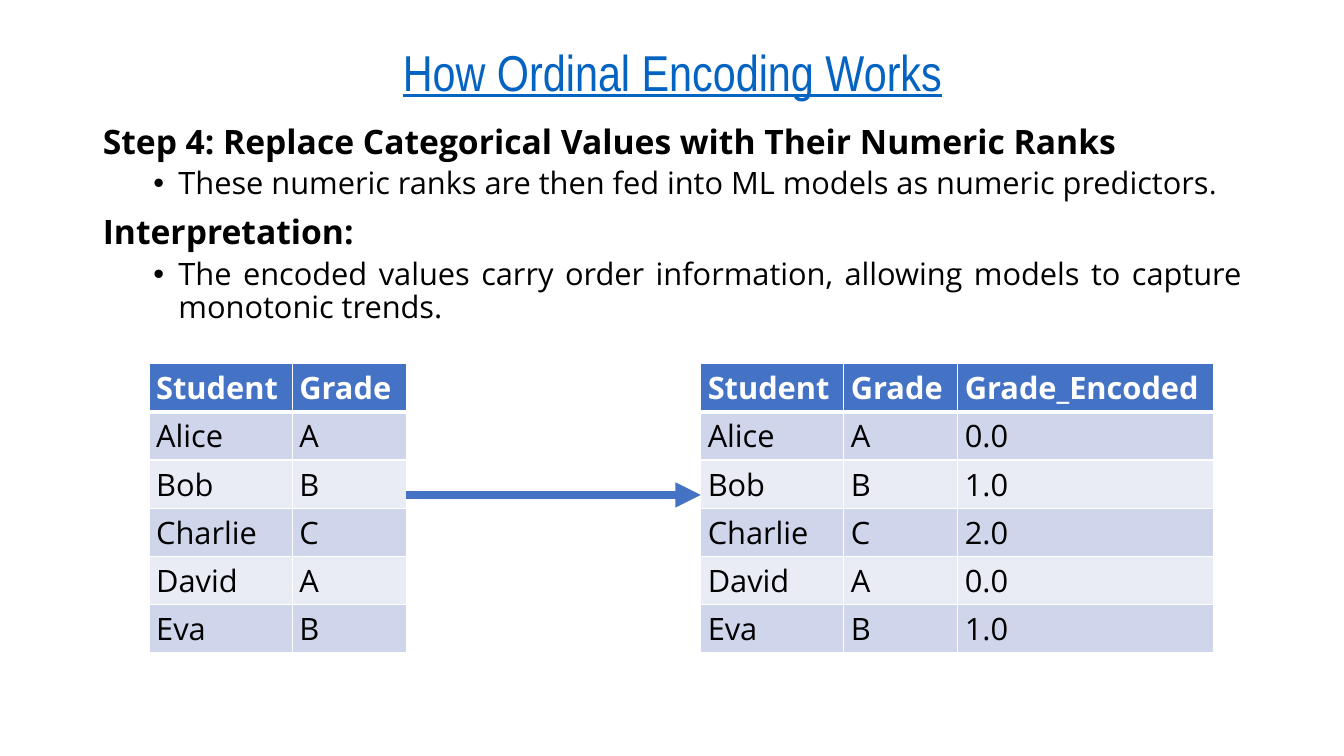
import pptx
import pptx.util
import pptx.dml.color
import pptx.enum.text
import pptx.enum.shapes
import pptx.oxml
import pptx.oxml.ns
from pptx.util import Inches

COLORS = {"link": "0563C1", "text": "000000", "white": "FFFFFF",
          "blue": "4472C4", "band": "CFD5EA", "light": "E9EBF5"}
NS = pptx.oxml.ns.nsdecls("a")
ALIGN = pptx.enum.text.PP_ALIGN
ANCHOR = pptx.enum.text.MSO_ANCHOR


def rgb(name):
    return pptx.dml.color.RGBColor.from_string(COLORS[name])


def add_text(p, text, size=22, font="Open Sans", color="text", bold=False, underline=False):
    r = p.add_run()
    r.text = text
    r.font.size = pptx.util.Pt(size)
    r.font.name = font
    r.font.bold = bold
    r.font.underline = underline
    r.font.color.rgb = rgb(color)


prs = pptx.Presentation()
prs.slide_width, prs.slide_height = Inches(13.33), Inches(7.5)
s = prs.slides.add_slide(prs.slide_layouts[1])
title, body = s.placeholders

for sp, top, height, anchor in [(title, 0.4, 0.7, ANCHOR.MIDDLE), (body, 1.19, 5.56, ANCHOR.TOP)]:
    sp.left, sp.top, sp.width, sp.height = Inches(0.92), Inches(top), Inches(11.5), Inches(height)
    tf = sp.text_frame
    tf.word_wrap = True
    tf.auto_size = pptx.enum.text.MSO_AUTO_SIZE.NONE
    tf.vertical_anchor = anchor

p = title.text_frame.paragraphs[0]
p.alignment = ALIGN.CENTER
p.line_spacing = 0.9
add_text(p, "How Ordinal Encoding Works", size=36, font="Arial Narrow", color="link", underline=True)

points = [
    (0, [("Step 4: Replace Categorical Values with Their Numeric Ranks", 24)]),
    (1, [("These numeric ranks are then fed into ML models as numeric predictors", 22), (".", 20)]),
    (0, [("Interpretation:", 24)]),
    (1, [("The encoded values carry order information, allowing models to capture monotonic trends.", 22)]),
]
tf = body.text_frame
for i, (level, runs) in enumerate(points):
    p = tf.paragraphs[0] if i == 0 else tf.add_paragraph()
    p.level = level
    p.alignment = ALIGN.JUSTIFY
    p.line_spacing = 0.9
    p.space_before = pptx.util.Pt(0 if i == 0 else 5 if level else 10)
    pPr = p._p.get_or_add_pPr()
    pPr.set("marL", str(Inches(0.75 * level)))
    pPr.set("indent", str(Inches(-0.25 * level)))
    if level:
        pPr.append(pptx.oxml.parse_xml(f'<a:buFont {NS} typeface="Arial"/>'))
        pPr.append(pptx.oxml.parse_xml(f'<a:buChar {NS} char="•"/>'))
    else:
        pPr.append(pptx.oxml.parse_xml(f'<a:buNone {NS}/>'))
    for text, size in runs:
        add_text(p, text, size=size, bold=level == 0)

rows = [
    ("Student", "Grade", "Grade_Encoded"),
    ("Alice", "A", "0.0"),
    ("Bob", "B", "1.0"),
    ("Charlie", "C", "2.0"),
    ("David", "A", "0.0"),
    ("Eva", "B", "1.0"),
]
widths = [1.42, 1.13, 2.54]
for left, cols in [(1.48, 2), (6.95, 3)]:
    table = s.shapes.add_table(len(rows), cols, Inches(left), Inches(3.61),
                               Inches(sum(widths[:cols])), Inches(0.41 * len(rows))).table
    for c in range(cols):
        table.columns[c].width = Inches(widths[c])
    for r, row in enumerate(rows):
        table.rows[r].height = Inches(0.41)
        for c in range(cols):
            cell = table.cell(r, c)
            cell.vertical_anchor = ANCHOR.MIDDLE
            cell.margin_left = cell.margin_right = Inches(0.07)
            cell.margin_top = cell.margin_bottom = Inches(0.03)
            cell.fill.solid()
            cell.fill.fore_color.rgb = rgb("blue" if r == 0 else "band" if r % 2 else "light")
            add_text(cell.text_frame.paragraphs[0], row[c],
                     color="white" if r == 0 else "text", bold=r == 0)
            tcPr = cell._tc.get_or_add_tcPr()
            for i, side in enumerate("LRTB"):
                thick = (r, side) in [(0, "B"), (1, "T")]
                tcPr.insert(i, pptx.oxml.parse_xml(
                    f'<a:ln{side} {NS} w="{pptx.util.Pt(3 if thick else 1)}"><a:solidFill>'
                    f'<a:srgbClr val="{COLORS["white"]}"/></a:solidFill></a:ln{side}>'))

arrow = s.shapes.add_connector(pptx.enum.shapes.MSO_CONNECTOR.STRAIGHT,
                               Inches(4.03), Inches(4.91), Inches(6.95), Inches(4.91))
arrow.line.color.rgb = rgb("blue")
arrow.line.width = pptx.util.Pt(6)
arrow.line._get_or_add_ln().append(pptx.oxml.parse_xml(f'<a:tailEnd {NS} type="triangle"/>'))
arrow._element.spPr.append(pptx.oxml.parse_xml(f'<a:effectLst {NS}/>'))

prs.save("out.pptx")
